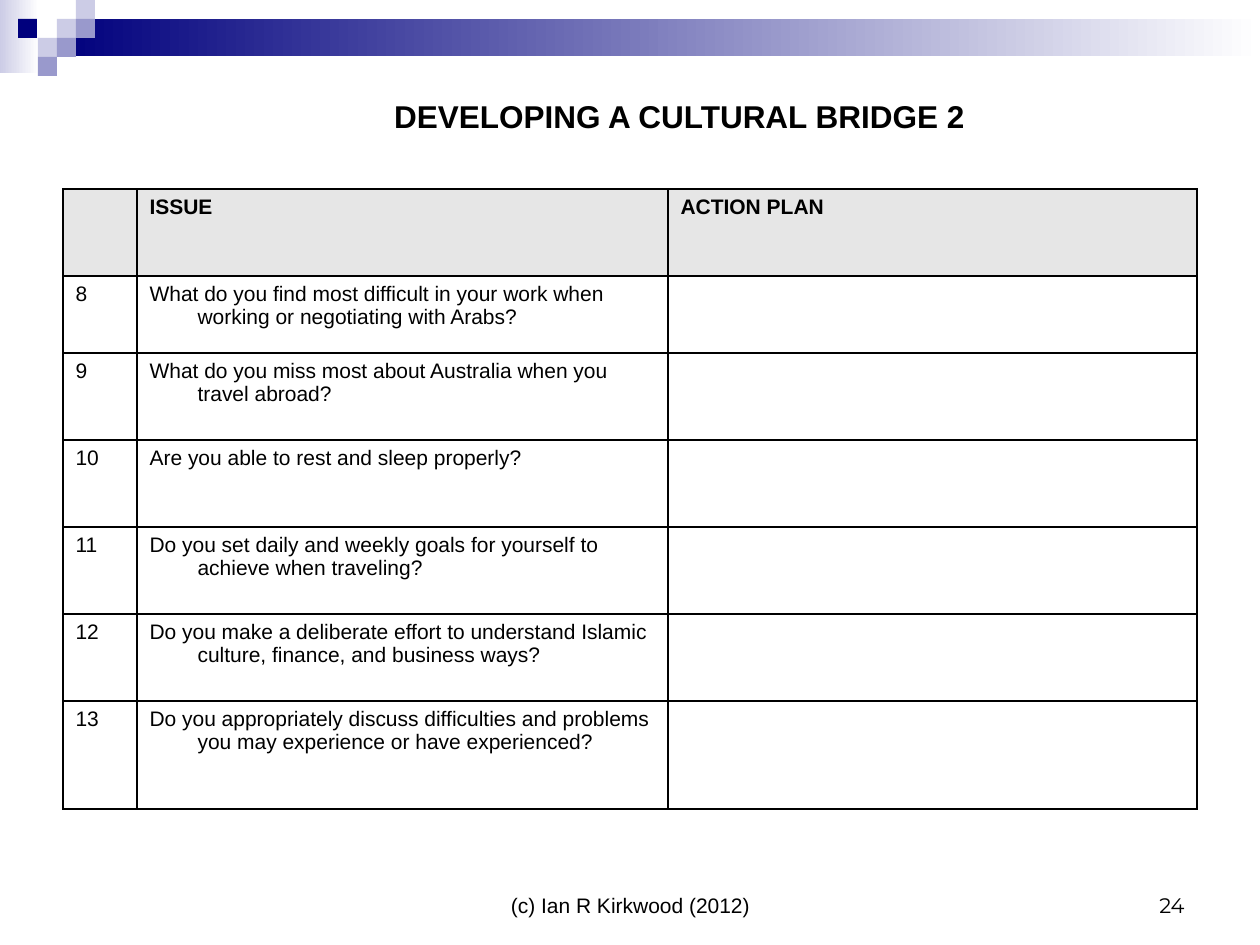
from lxml import etree
from pptx import Presentation
from pptx import util as u
from pptx.dml.color import RGBColor
from pptx.enum import shapes, text
from pptx.oxml import ns

SCALE = 914400 / 126
HUES = {"navy": "00007D", "mid": "9999CC", "pale": "CCCCE6",
        "white": "FFFFFF", "black": "000000", "grey": "E6E6E6"}
ISSUES = [
    "What do you find most difficult in your work when working or negotiating with Arabs?",
    "What do you miss most about Australia when you travel abroad?",
    "Are you able to rest and sleep properly?",
    "Do you set daily and weekly goals for yourself to achieve when traveling?",
    "Do you make a deliberate effort to understand Islamic culture, finance, and business ways?",
    "Do you appropriately discuss difficulties and problems you may experience or have experienced?",
]


def px(n):
    return u.Emu(round(n * SCALE))


def hue(name):
    return RGBColor.from_string(HUES[name])


class Page:
    def __init__(self, slide, font="Arial", size=12):
        self.slide = slide
        self.font = font
        self.size = size

    def run(self, par, words, size=None, bold=False, font=None):
        run = par.add_run()
        run.text = words
        run.font.name = font or self.font
        run.font.size = u.Pt(size or self.size)
        run.font.bold = bold
        run.font.color.rgb = hue("black")

    def block(self, box, color, fade=None):
        shape = self.slide.shapes.add_shape(shapes.MSO_SHAPE.RECTANGLE, *map(px, box))
        shape.shadow.inherit = False
        shape.line.fill.background()
        if fade:
            shape.fill.gradient()
            shape.fill.gradient_angle = 0
            for stop, name in zip(shape.fill.gradient_stops, (color, fade)):
                stop.color.rgb = hue(name)
        else:
            shape.fill.solid()
            shape.fill.fore_color.rgb = hue(color)

    def label(self, box, words, align, anchor, **style):
        frame = self.slide.shapes.add_textbox(*map(px, box)).text_frame
        frame.word_wrap = True
        frame.vertical_anchor = anchor
        par = frame.paragraphs[0]
        par.alignment = align
        self.run(par, words, **style)

    def border(self, cell):
        props = cell._tc.get_or_add_tcPr()
        for spot, side in enumerate(("lnL", "lnR", "lnT", "lnB")):
            line = etree.Element(ns.qn("a:" + side), w=str(u.Pt(1)))
            fill = etree.SubElement(line, ns.qn("a:solidFill"))
            etree.SubElement(fill, ns.qn("a:srgbClr"), val=HUES["black"])
            props.insert(spot, line)

    def cell(self, cell, words, head):
        cell.fill.solid()
        cell.fill.fore_color.rgb = hue("grey" if head else "white")
        self.border(cell)
        par = cell.text_frame.paragraphs[0]
        par.font.size = u.Pt(self.size)
        if words:
            props = par._p.get_or_add_pPr()
            props.set("marL", str(px(48)))
            props.set("indent", str(px(-48)))
            self.run(par, words, bold=head)

    def table(self, box, cols, tall, rows):
        grid = self.slide.shapes.add_table(len(rows), len(cols), *map(px, box)).table
        for col, wide in zip(grid.columns, cols):
            col.width = px(wide)
        for r, row in enumerate(rows):
            grid.rows[r].height = px(tall[r])
            for c, words in enumerate(row):
                self.cell(grid.cell(r, c), words, r == 0)


def main():
    deck = Presentation()
    deck.slide_width, deck.slide_height = px(1260), px(945)
    page = Page(deck.slides.add_slide(deck.slide_layouts[6]))

    page.block((0, 0, 39, 73), "pale", "white")
    page.block((57, 19, 1203, 37), "navy", "white")
    tiles = [(57, 19, "pale"), (76, 0, "pale"), (76, 19, "mid"), (38, 38, "pale"),
             (18, 19, "navy"), (57, 38, "mid"), (38, 57, "mid")]
    for x, y, color in tiles:
        page.block((x, y, 19, 19), color)

    align, anchor = text.PP_ALIGN, text.MSO_ANCHOR
    page.label((431, 861, 399, 63), "(c) Ian R Kirkwood (2012)", align.CENTER, anchor.BOTTOM)
    page.label((903, 861, 294, 63), "24", align.RIGHT, anchor.BOTTOM, font="Montserrat")
    page.label((354, 91, 651, 50), "DEVELOPING A CULTURAL BRIDGE 2",
               align.CENTER, anchor.MIDDLE, size=18, bold=True)

    rows = [("", "ISSUE", "ACTION PLAN")]
    rows += [(str(n), issue, "") for n, issue in enumerate(ISSUES, 8)]
    page.table((63, 189, 1134, 620), (74, 531, 529), (87, 77, 87, 87, 87, 87, 108), rows)

    deck.save("out.pptx")


if __name__ == "__main__":
    main()
